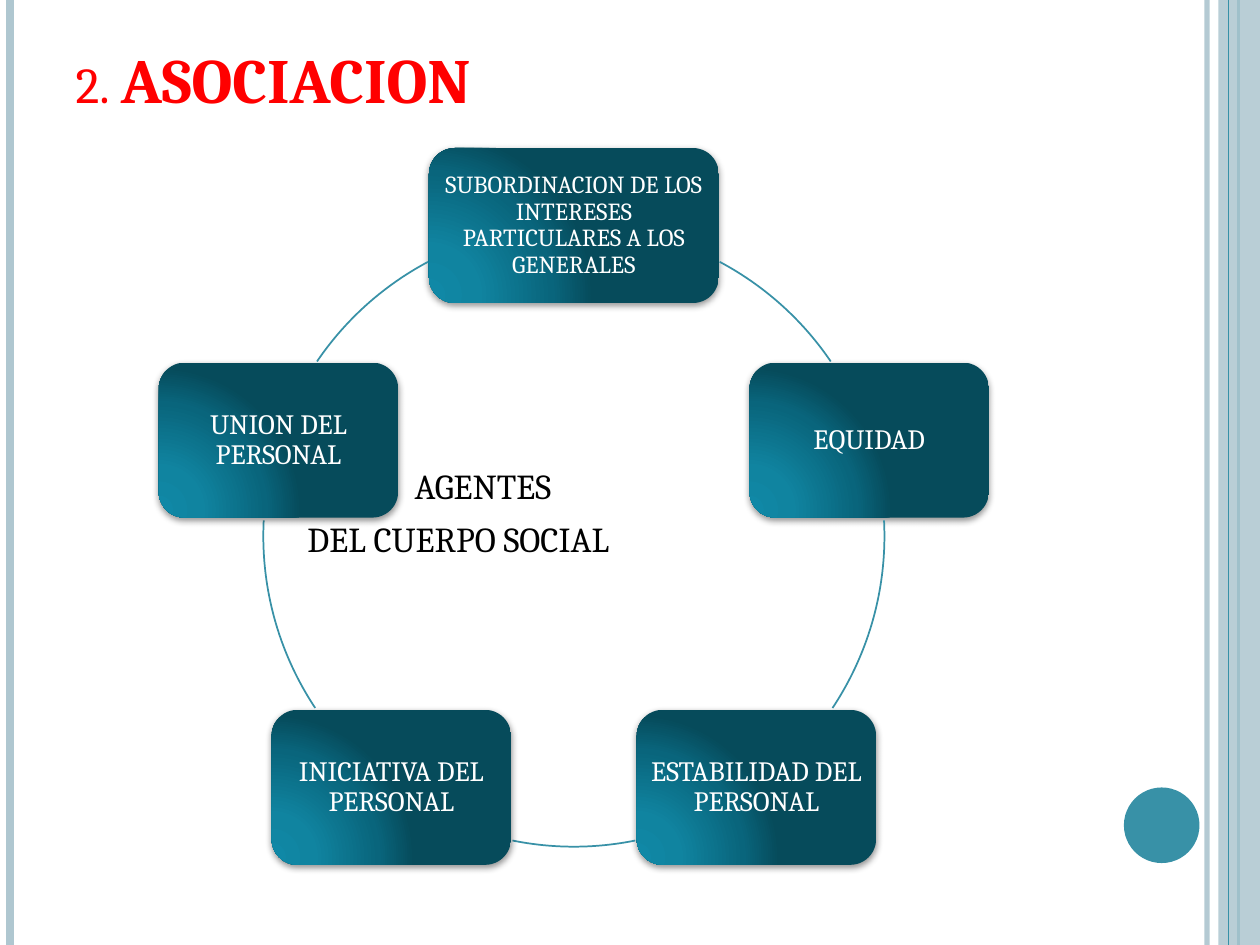
"""Build the slide on association: five principles arranged around a ring."""
import math

import pptx
import pptx.dml.color
import pptx.enum.shapes
import pptx.enum.text
import pptx.oxml
import pptx.oxml.ns
import pptx.util

Inches = pptx.util.Inches
Pt = pptx.util.Pt
SHAPE = pptx.enum.shapes.MSO_SHAPE
ANCHOR = pptx.enum.text.MSO_ANCHOR
qn = pptx.oxml.ns.qn

COLORS = {
    "title": "FF0000", "text": "000000", "node_text": "FFFFFF",
    "band": "AFC7D0", "accent": "3891A7", "shadow": "000000",
}
NODE_STOPS = [(0, "1088A6"), (30, "1084A0"), (75, "09657C"), (100, "064B5B")]
RING_X, RING_Y, RING_RADIUS = 4.555, 4.255, 2.465
NODES = [
    ("SUBORDINACION DE LOS INTERESES PARTICULARES A LOS GENERALES", 2.3, 14),
    ("EQUIDAD", 1.9, 16),
    ("ESTABILIDAD DEL PERSONAL", 1.9, 16),
    ("INICIATIVA DEL PERSONAL", 1.9, 16),
    ("UNION DEL PERSONAL", 1.9, 16),
]
ARCS = [(298, 325.8), (357.1, 33.6), (78.6, 101.4), (146.4, 182.9), (214.2, 242)]


class SlideBuilder:
    """Hold the deck style and the slide being drawn."""

    font = "Cambria"
    node_height = 1.23

    def __init__(self, slide):
        """Keep the slide to draw on."""
        self.slide = slide

    def color(self, name):
        """Return a named colour."""
        return pptx.dml.color.RGBColor.from_string(COLORS[name])

    def xml(self, tag, **attributes):
        """Create one DrawingML element."""
        element = pptx.oxml.parse_xml(f"<a:{tag} {pptx.oxml.ns.nsdecls('a')}/>")
        for name, value in attributes.items():
            element.set(name, str(value))
        return element

    def add_alpha(self, parent, percent):
        """Make the first RGB colour inside an element translucent."""
        rgb = next(parent.iter(qn("a:srgbClr")))
        rgb.append(self.xml("alpha", val=percent * 1000))

    def format_run(self, run, size, color, bold=False):
        """Apply the deck font to a run."""
        run.font.name = self.font
        run.font.size = Pt(size)
        run.font.bold = bold
        run.font.color.rgb = self.color(color)

    def place(self, placeholder, left, top, width, height):
        """Move a placeholder and return its top-anchored text frame."""
        placeholder.left, placeholder.top = Inches(left), Inches(top)
        placeholder.width, placeholder.height = Inches(width), Inches(height)
        frame = placeholder.text_frame
        frame.auto_size = pptx.enum.text.MSO_AUTO_SIZE.NONE
        frame.vertical_anchor = ANCHOR.TOP
        frame.word_wrap = True
        return frame

    def title(self, number, heading):
        """Fill the title with a number and a bold heading in small caps."""
        frame = self.place(self.slide.shapes.title, 0.5, 0.3, 8.17, 1.25)
        frame.margin_top = Inches(0.02)
        paragraph = frame.paragraphs[0]
        paragraph.alignment = pptx.enum.text.PP_ALIGN.LEFT
        for text, bold in ((number, False), (heading, True)):
            run = paragraph.add_run()
            run.text = text
            self.format_run(run, 36, "title", bold)
            run.font._element.set("cap", "small")

    def body(self, lines):
        """Fill the body with unbulleted lines, each with its own indent."""
        frame = self.place(self.slide.placeholders[1], 0.5, 1.75, 8.17, 5.33)
        frame.margin_top = Inches(1.94)
        frame.text = "\n".join(text for text, indent in lines)
        for position, (paragraph, (text, indent)) in enumerate(zip(frame.paragraphs, lines)):
            properties = paragraph._p.get_or_add_pPr()
            properties.set("marL", str(Inches(indent)))
            properties.set("indent", "0")
            properties.append(self.xml("buNone"))
            paragraph.space_before = Pt(6 if position else 0)
            self.format_run(paragraph.runs[0], 20, "text")

    def shape(self, kind, left, top, width, height, fill=None):
        """Add an unlined preset shape without a shadow."""
        shape = self.slide.shapes.add_shape(
            kind, Inches(left), Inches(top), Inches(width), Inches(height))
        shape.shadow.inherit = False
        shape.line.fill.background()
        if fill:
            shape.fill.solid()
            shape.fill.fore_color.rgb = self.color(fill)
        else:
            shape.fill.background()
        return shape

    def rule(self, x, color, weight, opacity=100):
        """Add a vertical line over the full slide height."""
        line = self.slide.shapes.add_connector(
            pptx.enum.shapes.MSO_CONNECTOR.STRAIGHT,
            Inches(x), Inches(0), Inches(x), Inches(7.5))
        line.line.color.rgb = self.color(color)
        line.line.width = Pt(weight)
        properties = line._element.spPr
        properties.append(self.xml("effectLst"))
        if opacity < 100:
            self.add_alpha(properties, opacity)

    def arc(self, start, end):
        """Add a piece of the ring between two angles in degrees."""
        side = 2 * RING_RADIUS
        arc = self.shape(SHAPE.ARC, RING_X - RING_RADIUS, RING_Y - RING_RADIUS, side, side)
        arc.adjustments[0] = start * 0.6
        arc.adjustments[1] = end * 0.6
        arc.line.color.rgb = self.color("accent")
        arc.line.width = Pt(1)

    def node_gradient(self):
        """Return the radial gradient of a node."""
        gradient = self.xml("gradFill", rotWithShape=1)
        stops = self.xml("gsLst")
        for position, rgb in NODE_STOPS:
            stop = self.xml("gs", pos=position * 1000)
            stop.append(self.xml("srgbClr", val=rgb))
            stops.append(stop)
        circle = self.xml("path", path="circle")
        circle.append(self.xml("fillToRect", l=5000, t=100000, r=120000, b=10000))
        gradient.append(stops)
        gradient.append(circle)
        return gradient

    def node(self, text, angle, width, size):
        """Add a principle centred on the ring at an angle in degrees."""
        x = RING_X + RING_RADIUS * math.cos(math.radians(angle))
        y = RING_Y + RING_RADIUS * math.sin(math.radians(angle))
        node = self.shape(SHAPE.ROUNDED_RECTANGLE, x - width / 2,
                          y - self.node_height / 2, width, self.node_height)
        properties = node._element.spPr
        properties.replace(properties.find(qn("a:noFill")), self.node_gradient())
        shadow = self.xml("outerShdw", blurRad=Pt(4), dist=Pt(1.6), dir=5400000, rotWithShape=0)
        shadow.append(self.xml("srgbClr", val=COLORS["shadow"]))
        self.add_alpha(shadow, 42)
        properties.find(qn("a:effectLst")).append(shadow)
        frame = node.text_frame
        frame.word_wrap = True
        frame.vertical_anchor = ANCHOR.MIDDLE
        frame.margin_left = frame.margin_right = Inches(0.04)
        frame.margin_top = frame.margin_bottom = Inches(0.04)
        frame.text = text
        paragraph = frame.paragraphs[0]
        paragraph.alignment = pptx.enum.text.PP_ALIGN.CENTER
        paragraph.line_spacing = 0.9
        self.format_run(paragraph.runs[0], size, "node_text")


def main():
    """Draw the slide and save the deck."""
    deck = pptx.Presentation()
    deck.slide_width, deck.slide_height = Inches(10), Inches(7.5)
    builder = SlideBuilder(deck.slides.add_slide(deck.slide_layouts[1]))
    builder.title("2. ", "ASOCIACION")
    builder.body([("AGENTES", 2.69), ("DEL CUERPO SOCIAL", 1.84)])
    builder.rule(9.58, "band", 3, 93)
    builder.rule(0.08, "band", 4.5)
    builder.rule(9.83, "accent", 1.5)
    band = builder.shape(SHAPE.RECTANGLE, 9.67, 0, 0.33, 7.5, "band")
    builder.add_alpha(band._element.spPr, 87)
    builder.rule(9.75, "accent", 0.75)
    builder.shape(SHAPE.OVAL, 8.92, 6.25, 0.6, 0.6, "accent")
    for position, ((text, width, size), arc) in enumerate(zip(NODES, ARCS)):
        builder.node(text, 360 / len(NODES) * position - 90, width, size)
        builder.arc(*arc)
    deck.save("out.pptx")


if __name__ == "__main__":
    main()
